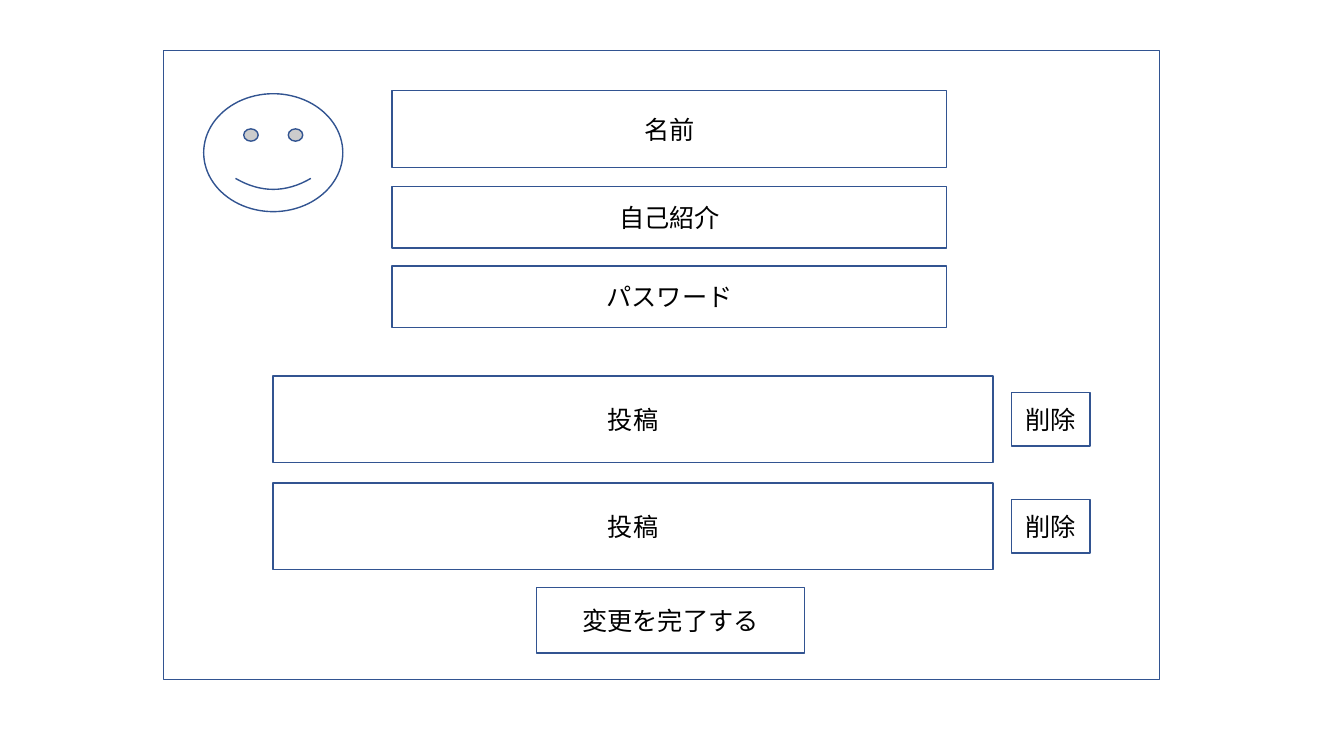
from dataclasses import dataclass

from lxml import etree
from pptx import Presentation
from pptx import util as u
from pptx.dml.color import RGBColor
from pptx.enum import shapes, text
from pptx.oxml import ns


@dataclass(frozen=True)
class Theme:
    """Colours, type and line sizes of the slide."""
    ink: str = "000000"
    edge: str = "325491"
    paper: str = "FFFFFF"
    font: str = "Noto Sans CJK JP"
    size: int = 18
    line: int = 1


def apply(item, values):
    """Set each named value on the item."""
    for name, value in values.items():
        setattr(item, name, value)


class Page:
    """Draws styled elements on one slide."""

    def __init__(self, slide, theme):
        """Keep the slide and its theme."""
        self.slide = slide
        self.theme = theme

    def shape(self, kind, box, fill=None):
        """Add an outlined preset shape, filled only if asked."""
        item = self.slide.shapes.add_shape(kind, *map(u.Inches, box))
        item.shadow.inherit = False
        if fill:
            item.fill.solid()
            item.fill.fore_color.rgb = RGBColor.from_string(fill)
        else:
            item.fill.background()
        item.line.color.rgb = RGBColor.from_string(self.theme.edge)
        item.line.width = u.Pt(self.theme.line)
        return item

    def frame(self, box):
        """Add an outlined rectangle."""
        return self.shape(shapes.MSO_SHAPE.RECTANGLE, box)

    def field(self, label, box):
        """Add a rectangle with a centred label."""
        body = self.frame(box).text_frame
        apply(body, {"word_wrap": True,
                     "vertical_anchor": text.MSO_ANCHOR.MIDDLE})
        para = body.paragraphs[0]
        para.alignment = text.PP_ALIGN.CENTER
        run = para.add_run()
        run.text = label
        apply(run.font, {"size": u.Pt(self.theme.size),
                         "name": self.theme.font})
        run.font.color.rgb = RGBColor.from_string(self.theme.ink)
        asian = etree.SubElement(run.font._element, ns.qn("a:ea"))
        asian.set("typeface", self.theme.font)

    def face(self, box):
        """Add the smiling profile face."""
        self.shape(shapes.MSO_SHAPE.SMILEY_FACE, box, self.theme.paper)

    def post(self, top):
        """Add a post with its delete button centred beside it."""
        high, small = 0.86, 0.53
        self.field("投稿", (2.71, top, 7.14, high))
        self.field("削除", (10.03, top + (high - small) / 2, 0.78, small))


deck = Presentation()
apply(deck, {"slide_width": u.Inches(13.33), "slide_height": u.Inches(7.5)})
page = Page(deck.slides.add_slide(deck.slide_layouts[6]), Theme())

page.frame((1.62, 0.5, 9.88, 6.24))
page.face((2.02, 0.93, 1.38, 1.17))

fields = (("名前", 0.9, 0.76), ("自己紹介", 1.85, 0.61), ("パスワード", 2.64, 0.61))
for label, top, high in fields:
    page.field(label, (3.89, top, 5.5, high))

for top in (3.73, 4.79):
    page.post(top)

page.field("変更を完了する", (5.32, 5.83, 2.66, 0.65))

deck.save("out.pptx")
